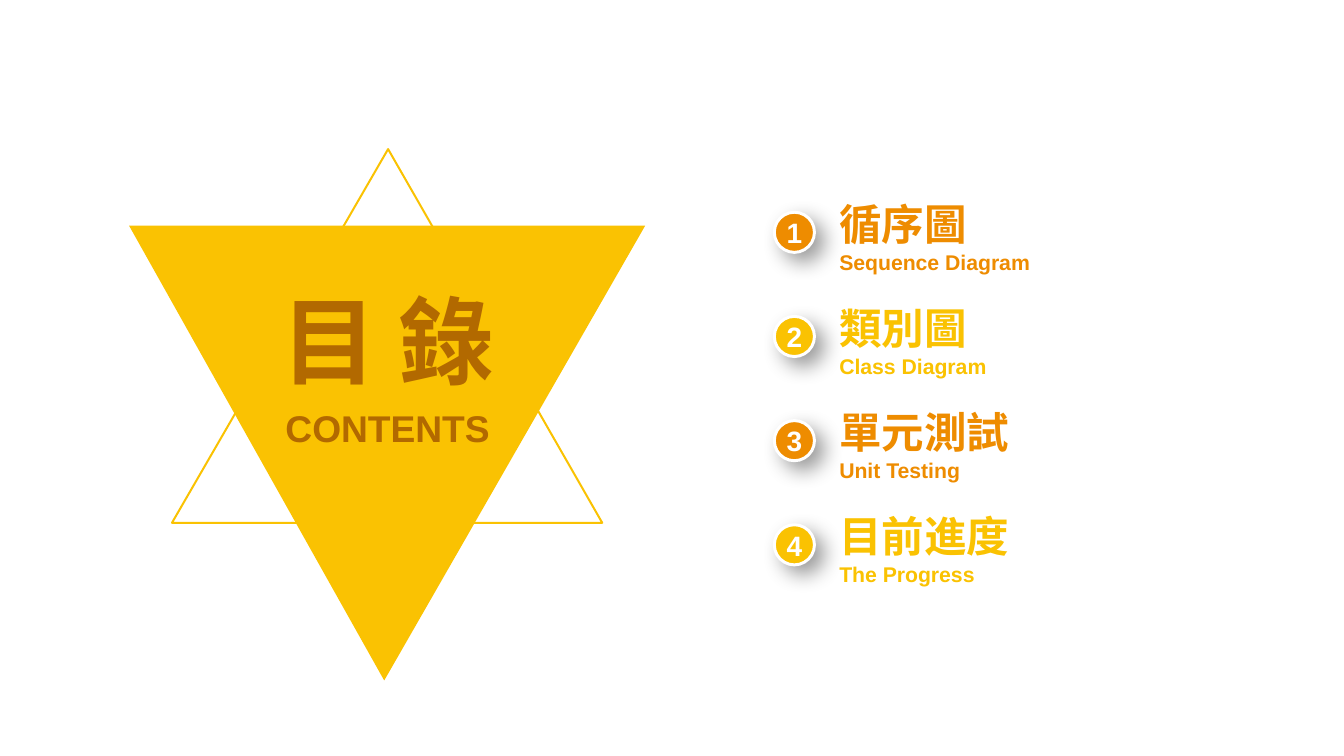
from lxml.etree import SubElement as Sub
from pptx import Presentation
from pptx.dml.color import RGBColor as Rgb
from pptx.enum.shapes import MSO_SHAPE as Kind
from pptx.enum.text import MSO_ANCHOR as Anchor, PP_ALIGN as Align
from pptx.oxml.ns import qn
from pptx.util import Inches, Pt

HUES = {"gold": "FAC202", "amber": "EE8C00", "brown": "B26900", "white": "FFFFFF", "black": "000000"}
TOPICS = [
    ("循序圖", "Sequence Diagram"),
    ("類別圖", "Class Diagram"),
    ("單元測試", "Unit Testing"),
    ("目前進度", "The Progress"),
]
PITCH = 13.78


class Deck:
    def __init__(self, wide, high):
        self.prs = Presentation()
        self.prs.slide_width = Inches(wide)
        self.prs.slide_height = Inches(high)
        self.slide = self.prs.slides.add_slide(self.prs.slide_layouts[6])
        self.font = "Arial"

    def hue(self, name):
        return Rgb.from_string(HUES[name])

    def spot(self, x, y):
        return (round(self.prs.slide_width * x / 100),
                round(self.prs.slide_height * y / 100))

    def paint(self, shape, fill=None, line=None, width=1.5):
        shape.shadow.inherit = False
        if fill:
            shape.fill.solid()
            shape.fill.fore_color.rgb = self.hue(fill)
        else:
            shape.fill.background()
        if line:
            shape.line.color.rgb = self.hue(line)
            shape.line.width = Pt(width)
        else:
            shape.line.fill.background()

    def label(self, shape, rows, color, align=Align.LEFT, anchor=Anchor.MIDDLE):
        frame = shape.text_frame
        frame.word_wrap = True
        frame.vertical_anchor = anchor
        frame.margin_left = frame.margin_right = 0
        frame.margin_top = frame.margin_bottom = 0
        frame.text = "\n".join(words for words, size in rows)
        for para, (words, size) in zip(frame.paragraphs, rows):
            para.alignment = align
            para.font.name = self.font
            para.font.size = Pt(size)
            para.font.bold = True
            para.font.color.rgb = self.hue(color)

    def poly(self, dots, **style):
        start, *rest = [self.spot(*dot) for dot in dots]
        pen = self.slide.shapes.build_freeform(*start)
        pen.add_line_segments(rest, close=True)
        self.paint(pen.convert_to_shape(), **style)

    def text(self, x, y, w, h, rows, color, **style):
        box = self.slide.shapes.add_textbox(*self.spot(x, y), *self.spot(w, h))
        self.label(box, rows, color, **style)

    def badge(self, x, y, size, mark, color):
        disc = self.slide.shapes.add_shape(
            Kind.OVAL, *self.spot(x, y), Inches(size), Inches(size))
        self.paint(disc, color, "white", 2.25)
        self.label(disc, [(mark, 21.1)], "white", Align.CENTER)
        self.shade(disc)

    def shade(self, shape):
        glow = shape._element.spPr.find(qn("a:effectLst"))
        cast = Sub(glow, qn("a:outerShdw"), blurRad=str(Pt(16)), dist=str(Pt(9)),
                   dir="2700000", algn="tl", rotWithShape="0")
        tint = Sub(cast, qn("a:srgbClr"), val=HUES["black"])
        Sub(tint, qn("a:alpha"), val="40000")


def main():
    deck = Deck(14.06, 7.91)
    deck.poly([(9.6, 29.84), (48.01, 29.84), (28.59, 90.01)], fill="gold")
    deck.poly([(28.88, 19.72), (44.81, 69.15), (12.8, 69.15)], line="gold")
    for i, (title, sub) in enumerate(TOPICS):
        color = ("amber", "gold")[i % 2]
        drop = i * PITCH
        deck.badge(57.61, 28.07 + drop, 0.42, str(i + 1), color)
        deck.text(62.45, 26.1 + drop, 20.98, 10.24, [(title, 32), (sub, 16)], color)
    deck.text(18.63, 37.29, 20.41, 15.3, [("目 錄", 72)], "brown", align=Align.CENTER)
    deck.text(19.77, 53.6, 18.14, 5.94, [("CONTENTS", 28)], "brown",
              align=Align.CENTER, anchor=Anchor.TOP)
    deck.prs.save("out.pptx")


if __name__ == "__main__":
    main()
